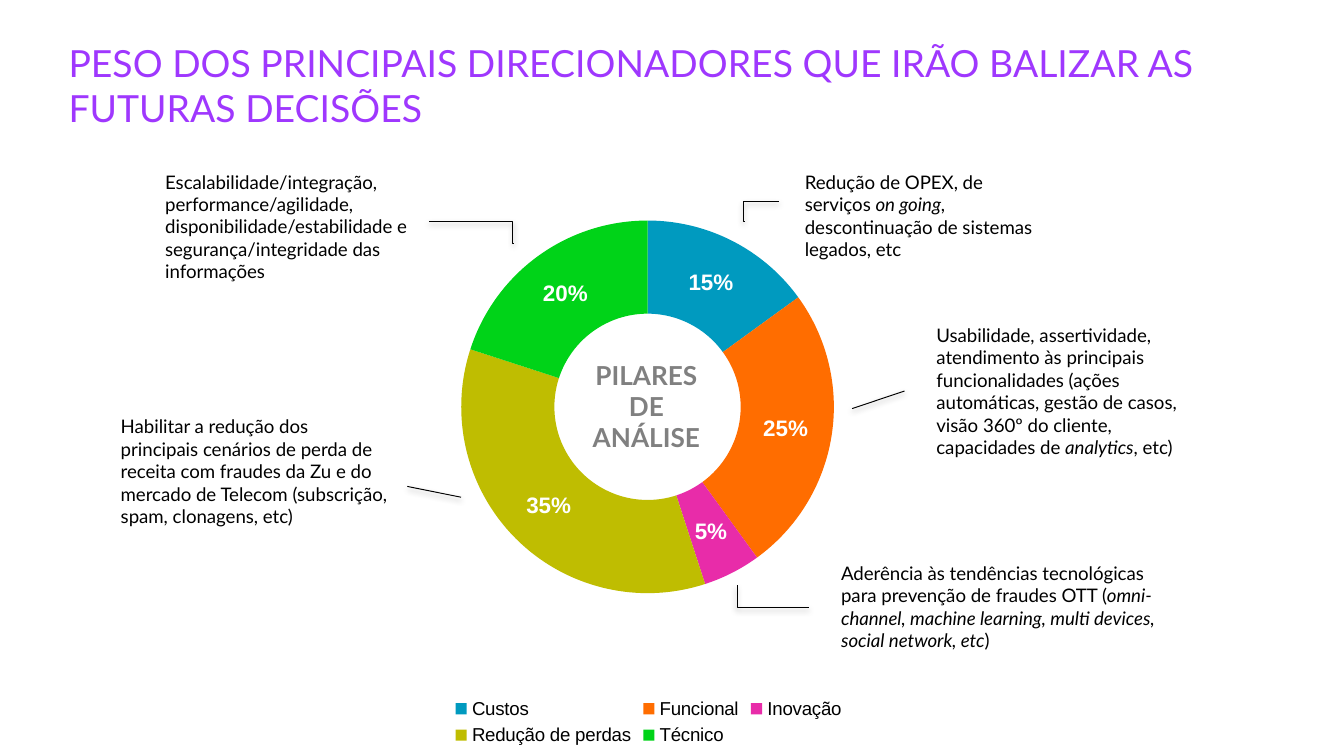
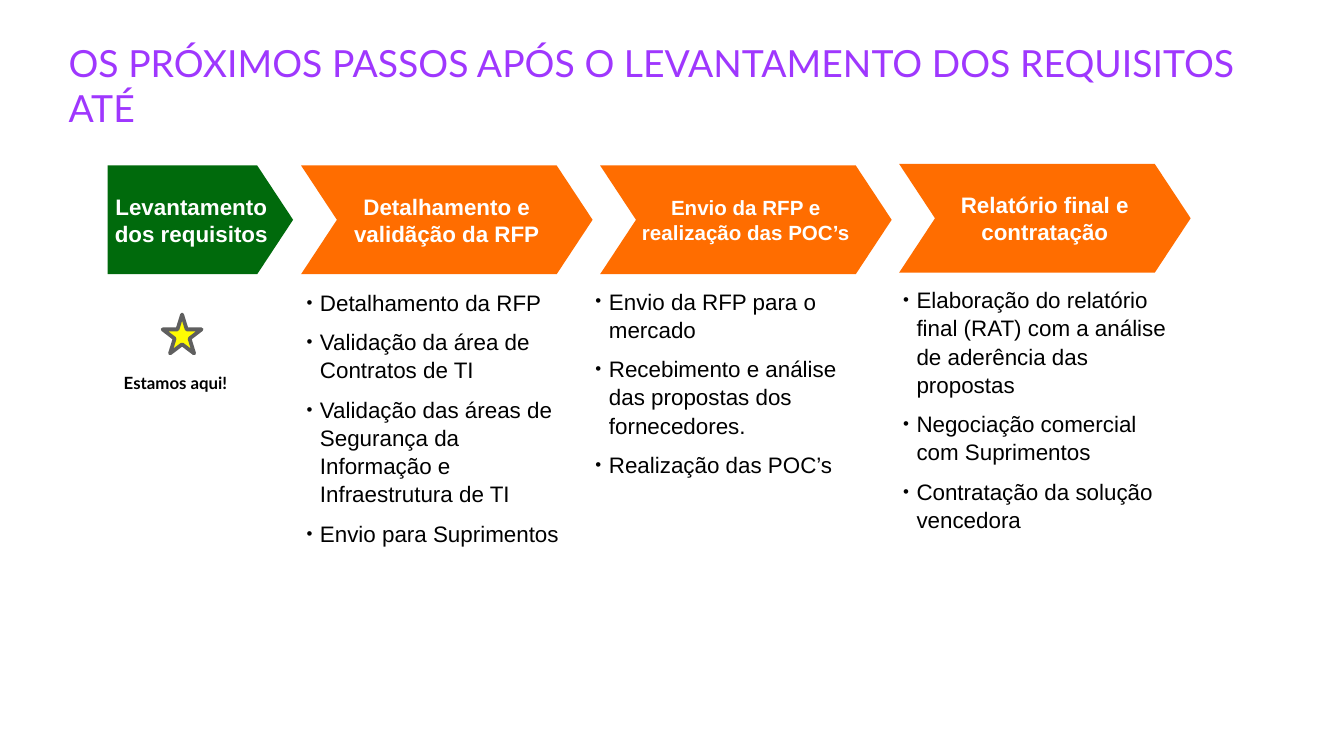
from lxml import etree
from pptx import Presentation
from pptx import util as u
from pptx.chart import data as chart_data
from pptx.dml import color
from pptx.enum import chart as charts
from pptx.enum import shapes, text
from pptx.oxml import ns

COLORS = {
    "title": "9F37FE", "text": "000000", "light": "FFFFFF", "muted": "808080",
    "done": "006A0C", "next": "FF6D00", "star": "FEFB02", "star_edge": "5F5F5F",
    "Custos": "009ABF", "Funcional": "FF6D00", "Inovação": "E82CA9",
    "Redução de perdas": "BFBD01", "Técnico": "00D318",
}
HEADING, BODY = "Lato", "Arial"
ALIGN = text.PP_ALIGN
FIT = text.MSO_AUTO_SIZE


def rgb(name):
    return color.RGBColor.from_string(COLORS[name])


def add_xml(parent, tag, **attributes):
    return etree.SubElement(parent, ns.qn(tag), attributes)


def write(frame, content, size=10, font=HEADING, ink="text", bold=False,
          align=ALIGN.LEFT, anchor=text.MSO_ANCHOR.TOP, inset=(7.2, 3.6),
          fit=FIT.NONE, wrap=True, bullets=False):
    frame.word_wrap = wrap
    frame.auto_size = fit
    frame.vertical_anchor = anchor
    frame.margin_left = frame.margin_right = u.Pt(inset[0])
    frame.margin_top = frame.margin_bottom = u.Pt(inset[1])
    for number, line in enumerate(content.split("\n")):
        paragraph = frame.add_paragraph() if number else frame.paragraphs[0]
        if bullets:
            props = paragraph._p.get_or_add_pPr()
            props.set("marL", str(u.Pt(7.2)))
            props.set("indent", str(u.Pt(-7.2)))
            add_xml(add_xml(props, "a:buClr"), "a:srgbClr", val=COLORS["text"])
            add_xml(props, "a:buSzPct", val="75000")
            add_xml(props, "a:buFont", typeface=BODY)
            add_xml(props, "a:buChar", char="•")
            paragraph.line_spacing = 1.05
            paragraph.space_after = u.Pt(6)
        paragraph.space_before = u.Pt(0)
        paragraph.alignment = align
        for part, words in enumerate(line.split("*")):
            run = paragraph.add_run()
            run.text = words
            run.font.name = font
            run.font.size = u.Pt(size)
            run.font.bold = bold
            run.font.italic = part % 2 == 1
            run.font.color.rgb = rgb(ink)


class Deck:
    def __init__(self):
        self.file = Presentation()
        self.file.slide_width, self.file.slide_height = u.Pt(720), u.Pt(405)
        self.slide = None

    def place(self, item, box):
        item.left, item.top, item.width, item.height = map(u.Pt, box)

    def new_slide(self, layout, title):
        self.slide = self.file.slides.add_slide(self.file.slide_layouts[layout])
        heading = self.slide.shapes.title
        self.place(heading, (36.7, 21.6, 646.6, 56.2))
        write(heading.text_frame, title, size=20, ink="title", inset=(0, 0))

    def note(self, box, content, **style):
        note = self.slide.shapes.add_textbox(*map(u.Pt, box))
        write(note.text_frame, content, fit=FIT.SHAPE_TO_FIT_TEXT, **style)

    def bullet_list(self, index, box, content):
        body = self.slide.placeholders[index]
        self.place(body, box)
        write(body.text_frame, content, size=12, font=BODY, inset=(0, 0),
              bullets=True)

    def drop_empty(self):
        for holder in list(self.slide.placeholders):
            if not holder.text_frame.text:
                holder._element.getparent().remove(holder._element)

    def figure(self, kind, box, fill, edge=None):
        figure = self.slide.shapes.add_shape(kind, *map(u.Pt, box))
        figure.shadow.inherit = False
        figure.fill.solid()
        figure.fill.fore_color.rgb = rgb(fill)
        if edge:
            figure.line.color.rgb = rgb(edge)
            figure.line.width = u.Pt(2)
        else:
            figure.line.fill.background()
        return figure

    def step(self, kind, box, fill, content, size=12):
        step = self.figure(kind, box, fill)
        step.adjustments[0] = 0.33
        write(step.text_frame, content, size=size, font=BODY, ink="light",
              bold=True, align=ALIGN.CENTER, anchor=text.MSO_ANCHOR.MIDDLE,
              inset=(2.9, 0))

    def leader(self, start, end, bend=None):
        kind = shapes.MSO_CONNECTOR.STRAIGHT
        if bend is not None:
            kind = shapes.MSO_CONNECTOR.ELBOW
        leader = self.slide.shapes.add_connector(kind, *map(u.Pt, start + end))
        leader.line.color.rgb = rgb("text")
        leader.line.width = u.Pt(0.5)
        props = leader._element.spPr
        if bend is not None:
            guides = props.find(ns.qn("a:prstGeom")).get_or_add_avLst()
            add_xml(guides, "a:gd", name="adj1", fmla=f"val {round(bend * 100000)}")
        shadow = add_xml(add_xml(props, "a:effectLst"), "a:outerShdw",
                         blurRad=str(u.Pt(3.1)), dist=str(u.Pt(1.6)),
                         dir="5400000", rotWithShape="0")
        tint = add_xml(shadow, "a:srgbClr", val=COLORS["text"])
        add_xml(tint, "a:alpha", val="38000")

    def doughnut(self, box, weights):
        data = chart_data.CategoryChartData(number_format='0"%"')
        data.categories = list(weights)
        data.add_series("Series 1", list(weights.values()))
        chart = self.slide.shapes.add_chart(
            charts.XL_CHART_TYPE.DOUGHNUT, *map(u.Pt, box), data).chart
        chart.has_title = False
        chart.font.name, chart.font.size = BODY, u.Pt(10)
        chart.font.color.rgb = rgb("text")
        chart.has_legend = True
        chart.legend.position = charts.XL_LEGEND_POSITION.BOTTOM
        chart.legend.include_in_layout = False
        ring = chart.plots[0]
        ring.vary_by_categories = True
        for index, pillar in enumerate(weights):
            fill = ring.series[0].points[index].format.fill
            fill.solid()
            fill.fore_color.rgb = rgb(pillar)
        ring.has_data_labels = True
        labels = ring.data_labels
        labels.show_value = True
        labels.show_percentage = False
        labels.number_format = '0"%"'
        labels.number_format_is_linked = False
        labels.font.name, labels.font.size = BODY, u.Pt(12)
        labels.font.bold = True
        labels.font.color.rgb = rgb("light")
        self.lay_out_plot(chart, x=0.293, y=0.096, w=0.412, h=0.636)

    def lay_out_plot(self, chart, **fractions):
        root = chart.element.find(ns.qn("c:chart"))
        plot = root.find(ns.qn("c:plotArea"))
        for old in plot.findall(ns.qn("c:layout")):
            plot.remove(old)
        layout = etree.Element(ns.qn("c:layout"))
        plot.insert(0, layout)
        manual = add_xml(layout, "c:manualLayout")
        add_xml(manual, "c:layoutTarget", val="inner")
        for side in "xy":
            add_xml(manual, f"c:{side}Mode", val="edge")
        for side, value in fractions.items():
            add_xml(manual, f"c:{side}", val=str(value))
        clear = etree.Element(ns.qn("c:spPr"))
        add_xml(clear, "a:noFill")
        add_xml(add_xml(clear, "a:ln"), "a:noFill")
        root.addnext(clear)


def build_pillars(deck):
    deck.new_slide(5, "PESO DOS PRINCIPAIS DIRECIONADORES QUE IRÃO BALIZAR AS "
                      "FUTURAS DECISÕES")
    drivers = [
        ((424.1, 87.8, 146.2, 43.9),
         "Redução de OPEX, de serviços *on going*, descontinuação de sistemas "
         "legados, etc",
         (398.9, 118.8), (417.6, 108), -0.024),
        ((81.4, 87.8, 146.2, 67.7),
         "Escalabilidade/integração, performance/agilidade, "
         "disponibilidade/estabilidade e segurança/integridade das informações",
         (275, 130.3), (229.7, 118.8), 0.004),
        ((494.6, 169.9, 146.2, 79.9),
         "Usabilidade, assertividade, atendimento às principais funcionalidades "
         "(ações automáticas, gestão de casos, visão 360º do cliente, "
         "capacidades de *analytics*, etc)",
         (456.5, 218.9), (484.6, 209.5), None),
        ((443.5, 297.4, 195.8, 55.4),
         "Aderência às tendências tecnológicas para prevenção de fraudes OTT "
         "(*omni-channel, machine learning, multi devices, social network, etc*)",
         (395.3, 313.9), (433.4, 325.4), -0.011),
        ((57.6, 218.9, 157, 67.7),
         "Habilitar a redução dos principais cenários de perda de receita com "
         "fraudes da Zu e do mercado de Telecom (subscrição, spam, clonagens, "
         "etc)",
         (218.2, 260.6), (247, 266.4), None),
    ]
    for box, reason, start, end, bend in drivers:
        deck.note(box, reason)
        deck.leader(start, end, bend)
    deck.note((309.6, 189.4, 73.4, 56.9), "PILARES DE ANÁLISE", size=14,
              ink="muted", bold=True, align=ALIGN.CENTER, inset=(2.9, 2.9))
    deck.doughnut((105.1, 87.8, 484.6, 314.6), {
        "Custos": 15, "Funcional": 25, "Inovação": 5,
        "Redução de perdas": 35, "Técnico": 20})


def build_next_steps(deck):
    deck.new_slide(4, "OS PRÓXIMOS PASSOS APÓS O LEVANTAMENTO DOS REQUISITOS ATÉ")
    preset = shapes.MSO_SHAPE
    deck.step(preset.PENTAGON, (57.6, 88.6, 99.4, 58.3), "done",
              "Levantamento dos requisitos")
    phases = [
        ("Detalhamento e validãção da RFP", 12, 88.6, 164.2, 141.8,
         "Detalhamento da RFP\nValidação da área de Contratos de TI\n"
         "Validação das áreas de Segurança da Informação e Infraestrutura de TI\n"
         "Envio para Suprimentos"),
        ("Envio da RFP e realização das POC’s", 11, 88.6, 319, 151.9,
         "Envio da RFP para o mercado\n"
         "Recebimento e análise das propostas dos fornecedores.\n"
         "Realização das POC’s"),
        ("Relatório final e contratação", 12, 87.8, 483.8, 141.8,
         "Elaboração do relatório final (RAT) com a análise de aderência das "
         "propostas\nNegociação comercial com Suprimentos\n"
         "Contratação da solução vencedora"),
    ]
    for index, (phase, size, top, left, width, tasks) in enumerate(phases):
        deck.step(preset.CHEVRON, (161.3 + 160.2 * index, top, 156.2, 58.3),
                  "next", phase, size)
        deck.bullet_list(index + 1, (left, 154.1 - 0.7 * index, width, 208), tasks)
    deck.drop_empty()
    deck.figure(preset.STAR_5_POINT, (87.1, 168.5, 20.9, 20.9), "star", "star_edge")
    deck.note((63.4, 196.6, 67.7, 16.6), "Estamos aqui!", size=9, bold=True,
              inset=(2.9, 2.9), wrap=False)


def main():
    deck = Deck()
    build_pillars(deck)
    build_next_steps(deck)
    deck.file.save("out.pptx")


if __name__ == "__main__":
    main()
